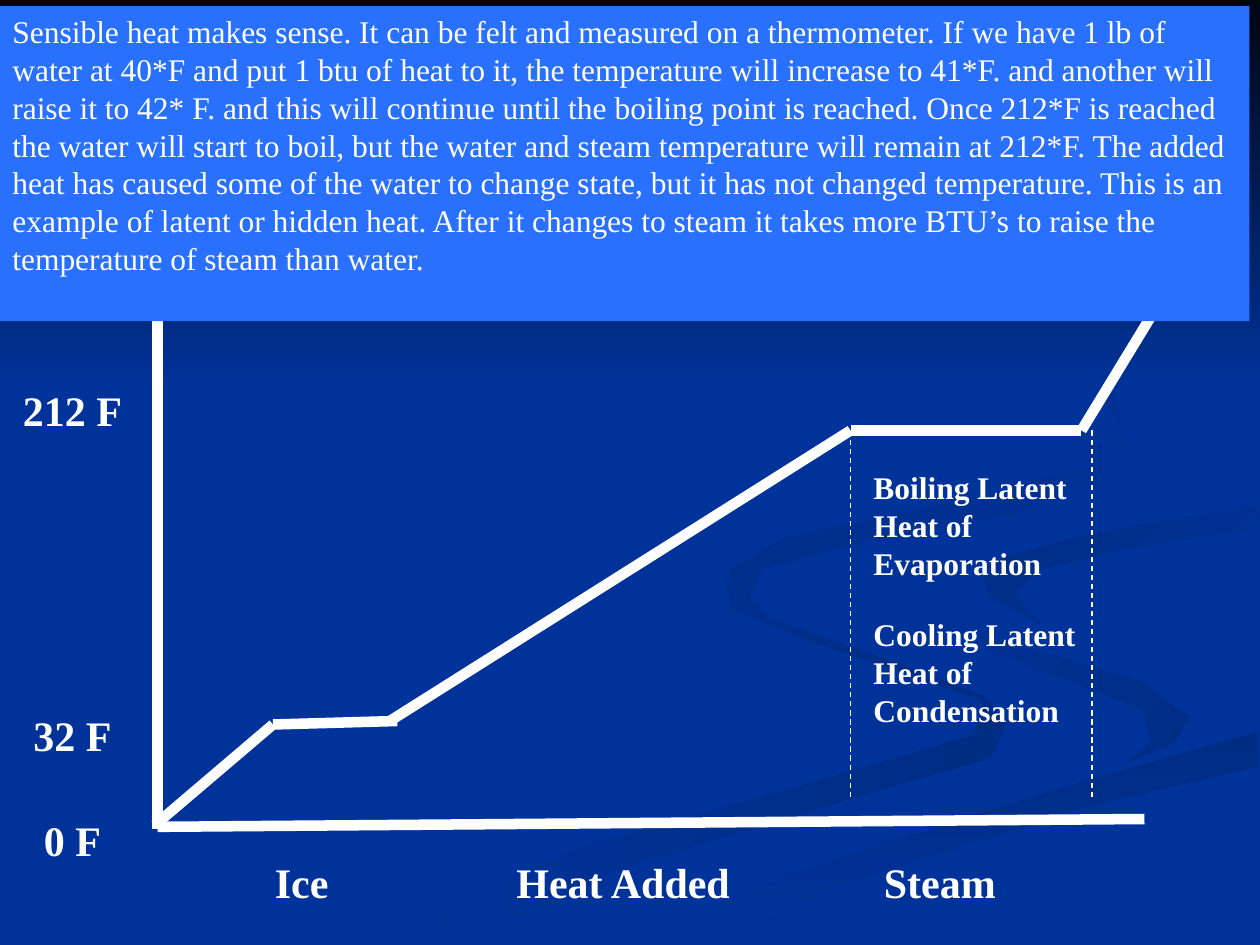
from pptx import Presentation
from pptx.dml.color import RGBColor
from pptx.enum.dml import MSO_LINE
from pptx.enum.shapes import MSO_CONNECTOR, MSO_SHAPE
from pptx.enum.text import MSO_ANCHOR, MSO_AUTO_SIZE, PP_ALIGN
from pptx.oxml.ns import qn
from pptx.util import Pt

THEME = {
    "font": "Times New Roman",
    "back": RGBColor.from_string("003399"),
    "ink": RGBColor.from_string("FFFFFF"),
    "panel": RGBColor.from_string("2970FF"),
    "night": RGBColor.from_string("000514"),
    "shade": RGBColor.from_string("002C84"),
    "label": Pt(24),
    "body": Pt(18),
}


def paint(sp, colours, angle=0):
    """Fill with one colour, or a gradient of two at a clockwise angle."""
    if len(colours) == 1:
        sp.fill.solid()
        sp.fill.fore_color.rgb = colours[0]
    else:
        sp.fill.gradient()
        sp.fill.gradient_angle = (360 - angle) % 360
        for stop, colour in zip(sp.fill.gradient_stops, colours):
            stop.color.rgb = colour
    sp.line.fill.background()
    sp.shadow.inherit = False


def write(sp, text, size, bold, auto_size):
    tf = sp.text_frame
    frame = {"word_wrap": True, "vertical_anchor": MSO_ANCHOR.TOP,
             "auto_size": auto_size}
    for key, value in frame.items():
        setattr(tf, key, value)
    p = tf.paragraphs[0]
    p.alignment = PP_ALIGN.LEFT
    r = p.add_run()
    r.text = text
    for key, value in {"name": THEME["font"], "size": size, "bold": bold}.items():
        setattr(r.font, key, value)
    r.font.color.rgb = THEME["ink"]


prs = Presentation()
prs.slide_width, prs.slide_height = Pt(720), Pt(540)
s = prs.slides.add_slide(prs.slide_layouts[6])
s.background.fill.solid()
s.background.fill.fore_color.rgb = THEME["back"]

# Background ribbons: colours, gradient angle, outline in points
back, shade = THEME["back"], THEME["shade"]
ribbons = [
    ([back, shade], 0, [
        (562, 398), (515, 380), (428, 349), (414, 330), (418, 348), (471, 369),
        (562, 400), (557, 420), (469, 446), (330, 485), (216, 539), (260, 539),
        (359, 495), (487, 456), (566, 433), (575, 413)]),
    ([back, shade], 45, [
        (679, 410), (652, 389), (557, 362), (521, 334), (537, 360), (603, 386),
        (653, 405), (658, 424), (644, 436), (671, 424)]),
    ([shade, back], 90, [
        (362, 539), (411, 539), (482, 505), (620, 461), (719, 438), (719, 418),
        (598, 453), (454, 499)]),
    ([shade, back], 45, [
        (562, 331), (566, 341), (595, 357), (580, 340), (592, 326), (645, 313),
        (719, 302), (719, 289), (623, 305), (575, 318)]),
    ([shade, back], 45, [
        (492, 310), (581, 293), (624, 276), (642, 255), (638, 228), (607, 198),
        (549, 168), (609, 201), (640, 241), (620, 266), (570, 282), (450, 307),
        (418, 325), (418, 341), (448, 360), (428, 342), (436, 325)]),
]
for colours, angle, outline in ribbons:
    builder = s.shapes.build_freeform(*outline[0], scale=Pt(1))
    builder.add_line_segments(outline[1:], close=True)
    paint(builder.convert_to_shape(), colours, angle)

sky = s.shapes.add_shape(MSO_SHAPE.RECTANGLE, 0, 0, Pt(720), Pt(222))
paint(sky, [THEME["night"], back], 90)

# Axes, heating curve and dashed limits of the boiling stage
solid, dashed = (6, None), (0.75, MSO_LINE.DASH)
lines = [
    (90, 474, 90, 78, solid),
    (90, 472.5, 654, 468, solid),
    (88.5, 471.5, 156, 414, solid),
    (222, 412.5, 486, 246, solid),
    (618, 246, 687.5, 132, solid),
    (156, 414, 227, 412, solid),
    (486, 246, 618, 246, solid),
    (486, 246, 486, 456, dashed),
    (624, 246, 624, 456, dashed),
]
for x1, y1, x2, y2, (width, dash) in lines:
    line = s.shapes.add_connector(
        MSO_CONNECTOR.STRAIGHT, Pt(x1), Pt(y1), Pt(x2), Pt(y2))
    line.line.color.rgb = THEME["ink"]
    line.line.width = Pt(width)
    if dash:
        line.line.dash_style = dash
    sp_pr = line._element.spPr
    sp_pr.append(sp_pr.makeelement(qn("a:effectLst"), {}))

labels = [
    ("Ice", 150, 486, 66, 36, "label"),
    ("Steam", 498, 486, 90, 36, "label"),
    ("Heat Added", 288, 486, 168, 36, "label"),
    ("0 F", 18, 462, 48, 65, "label"),
    ("32 F", 12, 402, 72, 36, "label"),
    ("212 F", 6, 216, 84, 36, "label"),
    ("Boiling Latent Heat of Evaporation", 492, 264, 132, 94, "body"),
    ("Cooling Latent Heat of Condensation", 492, 348, 132, 115, "body"),
]
for text, x, y, w, h, size in labels:
    box = s.shapes.add_textbox(Pt(x), Pt(y), Pt(w), Pt(h))
    write(box, text, THEME[size], True, MSO_AUTO_SIZE.SHAPE_TO_FIT_TEXT)

panel = s.shapes.add_shape(MSO_SHAPE.RECTANGLE, 0, Pt(3.5), Pt(714), Pt(180))
paint(panel, [THEME["panel"]])
write(panel, (
    "Sensible heat makes sense. It can be felt and measured on a thermometer. "
    "If we have 1 lb of water at 40*F and put 1 btu of heat to it, the temperature "
    "will increase to 41*F. and another will raise it to 42* F. and this will "
    "continue until the boiling point is reached. Once 212*F is reached the water "
    "will start to boil, but the water and steam temperature will remain at 212*F. "
    "The added heat has caused some of the water to change state, but it has not "
    "changed temperature. This is an example of latent or hidden heat. After it "
    "changes to steam it takes more BTU’s to raise the temperature of steam than "
    "water."), THEME["body"], False, MSO_AUTO_SIZE.NONE)

prs.save("out.pptx")
